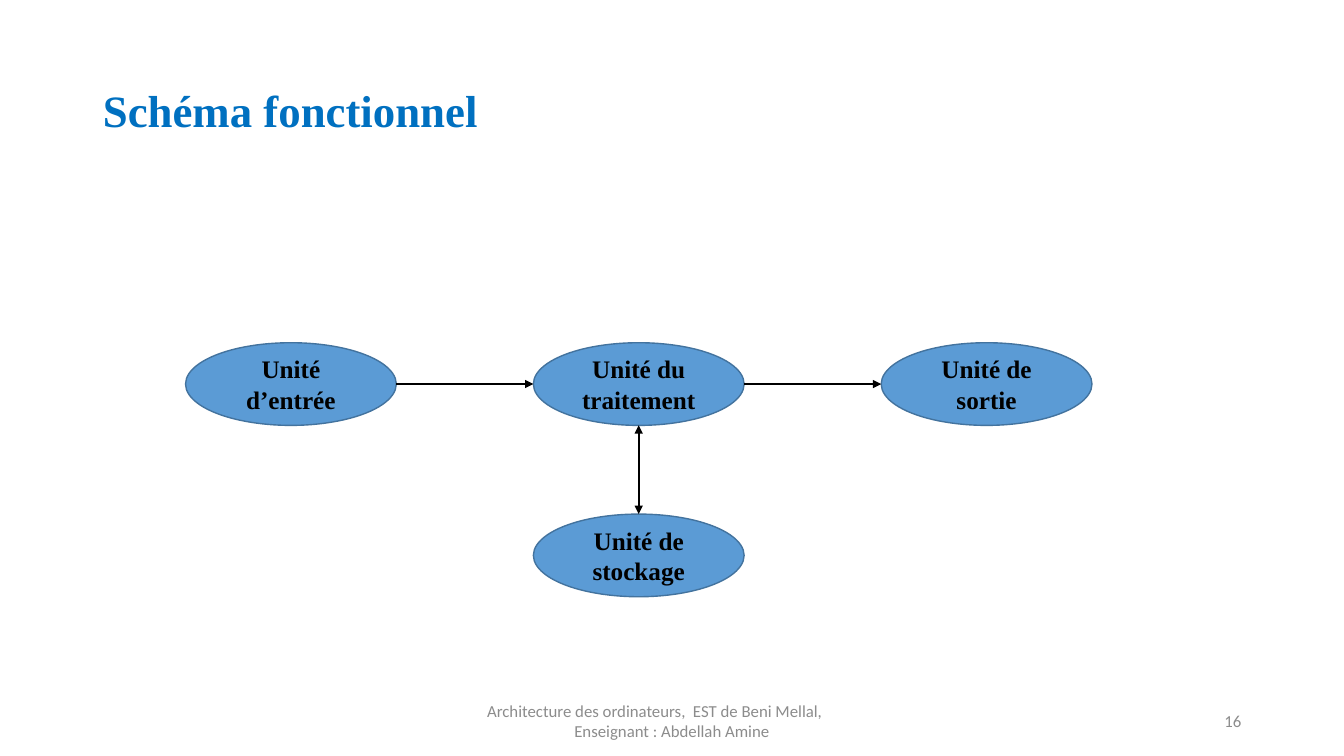
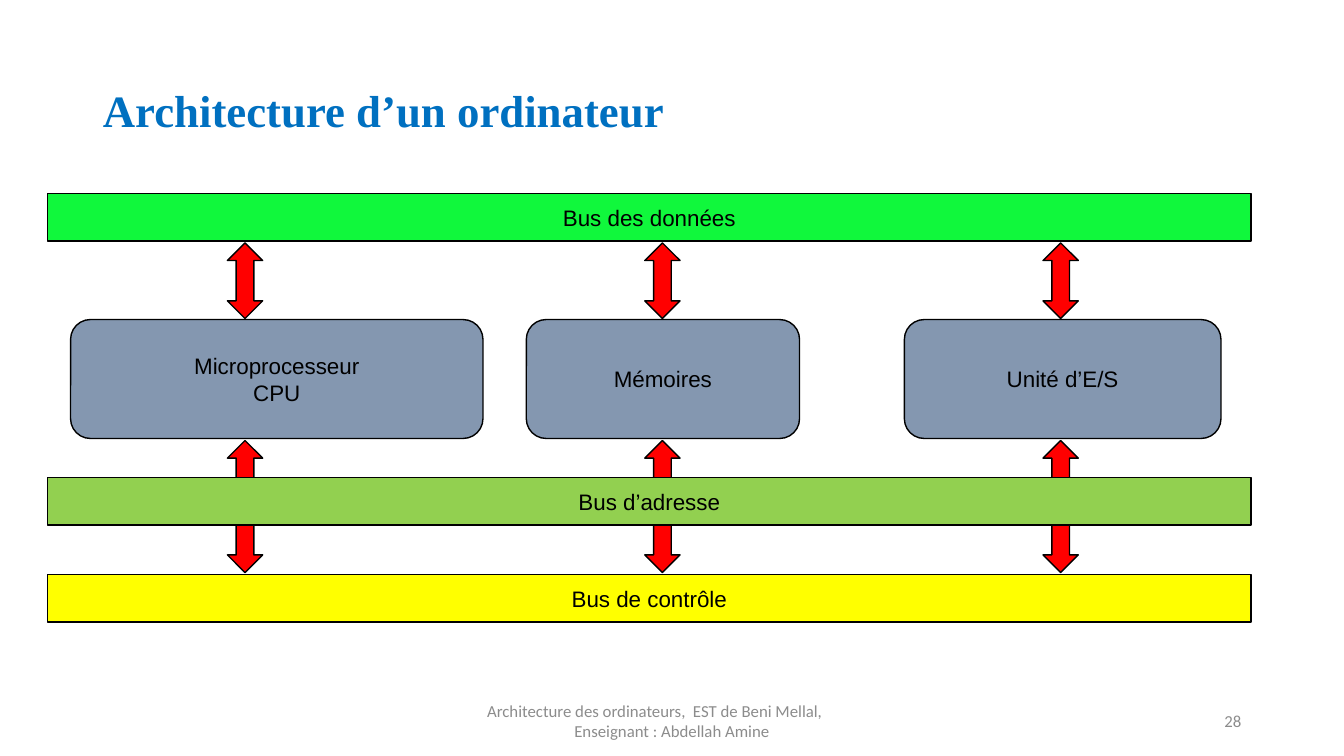
from lxml.etree import SubElement
from pptx import Presentation
from pptx.dml.color import RGBColor
from pptx.enum.shapes import MSO_CONNECTOR as Link, MSO_SHAPE as Preset
from pptx.enum.text import MSO_ANCHOR as Anchor, MSO_AUTO_SIZE as Fit, PP_ALIGN as Align
from pptx.oxml.ns import qn
from pptx.util import Inches, Pt

WIDTH, HEIGHT = 13.33, 7.5
COLORS = {
    "title": "0070C0", "footer": "8C8C8C", "ink": "000000",
    "unit": "5B9BD5", "unit_edge": "43739E", "block": "8497B0", "arrow": "FF0000",
    "data": "10F83C", "address": "92D050", "control": "FFFF00",
}
FONTS = {
    "title": {"name": "Times New Roman", "size": Pt(32), "bold": True},
    "footer": {"name": "Calibri", "size": Pt(12), "bold": False},
    "unit": {"name": "Times New Roman", "size": Pt(18), "bold": True},
    "block": {"name": "Arial", "size": Pt(16), "bold": False},
}


def write(frame, text, style, color, align):
    frame.text = text
    frame.word_wrap = True
    frame.vertical_anchor = Anchor.MIDDLE
    for paragraph in frame.paragraphs:
        paragraph.alignment = align
        for run in paragraph.runs:
            for key, value in FONTS[style].items():
                setattr(run.font, key, value)
            run.font.color.rgb = RGBColor.from_string(COLORS[color])


def add_block(slide, preset, box, fill, edge="ink", text="", style="block"):
    block = slide.shapes.add_shape(preset, *map(Inches, box))
    block.shadow.inherit = False
    block.fill.solid()
    block.fill.fore_color.rgb = RGBColor.from_string(COLORS[fill])
    block.line.color.rgb = RGBColor.from_string(COLORS[edge])
    block.line.width = Pt(1)
    if text:
        write(block.text_frame, text, style, "ink", Align.CENTER)
    return block


prs = Presentation()
prs.slide_width, prs.slide_height = Inches(WIDTH), Inches(HEIGHT)

# Title, footer and page number of both slides
margin = 0.92
footer_top, footer_height = 6.95, 0.4
footer_shift = 0.34
slides = []
for title_text, page in (("Schéma fonctionnel", "16"), ("Architecture d’un ordinateur", "28")):
    slide = prs.slides.add_slide(prs.slide_layouts[5])
    slides.append(slide)

    title = slide.shapes.title
    title.left, title.top, title.width, title.height = map(
        Inches, (margin, 0.4, WIDTH - 2 * margin, 1.45))
    write(title.text_frame, title_text, "title", "title", Align.LEFT)
    title.text_frame.auto_size = Fit.NONE
    title.text_frame.paragraphs[0].line_spacing = 0.9

    course = slide.shapes.add_textbox(*map(
        Inches, ((WIDTH - 4.5 - footer_shift) / 2, footer_top, 4.5, footer_height)))
    write(course.text_frame,
          "Architecture des ordinateurs,  EST de Beni Mellal,\nEnseignant : Abdellah Amine",
          "footer", "footer", Align.CENTER)
    # The teacher's line sits a little to the right of the course line
    teacher = course.text_frame.paragraphs[1]
    teacher._p.get_or_add_pPr().set("marL", str(Inches(footer_shift)))

    number = slide.shapes.add_textbox(*map(
        Inches, (WIDTH - margin - 3, footer_top, 3, footer_height)))
    write(number.text_frame, page, "footer", "footer", Align.RIGHT)

functional, architecture = slides

# Functional diagram: units on a grid of three columns and two rows
unit_width, unit_height = 2.09, 0.82
grid_left, column_step = 1.84, 3.45
grid_top, row_step = 3.4, 1.7
units = {}
for name, text, column, row in (
    ("input", "Unité d’entrée", 0, 0),
    ("processing", "Unité du\ntraitement", 1, 0),
    ("storage", "Unité de stockage", 1, 1),
    ("output", "Unité de sortie", 2, 0),
):
    box = (grid_left + column * column_step, grid_top + row * row_step, unit_width, unit_height)
    units[name] = add_block(functional, Preset.OVAL, box, "unit", "unit_edge", text, "unit")

# Flows between the units, from edge to edge
for source, target, ends in (
    ("input", "processing", ("tailEnd",)),
    ("processing", "output", ("tailEnd",)),
    ("processing", "storage", ("headEnd", "tailEnd")),
):
    start, end = units[source], units[target]
    if start.top == end.top:
        middle = start.top + start.height // 2
        points = (start.left + start.width, middle, end.left, middle)
    else:
        center = start.left + start.width // 2
        points = (center, start.top + start.height, center, end.top)
    flow = functional.shapes.add_connector(Link.STRAIGHT, *points)
    flow.line.color.rgb = RGBColor.from_string(COLORS["ink"])
    flow.line.width = Pt(1.5)
    for tag in ends:
        SubElement(flow.line._get_or_add_ln(), qn(f"a:{tag}"), type="triangle")
    SubElement(flow._element.spPr, qn("a:effectLst"))

# Computer architecture: arrows first, so that the address bus covers them
bus_left, bus_width, bus_height = 0.47, 11.94, 0.47
block_top, block_height = 3.17, 1.18
arrow_width = 0.35
for center in (2.43, 6.57, 10.52):
    for top, length in ((2.41, 0.75), (4.37, 1.31)):
        add_block(architecture, Preset.UP_DOWN_ARROW,
                  (center - arrow_width / 2, top, arrow_width, length), "arrow")

# Buses
for text, top, fill in (
    ("Bus des données", 1.92, "data"),
    ("Bus d’adresse", 4.74, "address"),
    ("Bus de contrôle", 5.7, "control"),
):
    add_block(architecture, Preset.RECTANGLE, (bus_left, top, bus_width, bus_height),
              fill, text=text)

# Components
for text, left, width in (
    ("Microprocesseur\nCPU", 0.7, 4.09),
    ("Mémoires", 5.22, 2.71),
    ("Unité d’E/S", 8.97, 3.14),
):
    add_block(architecture, Preset.ROUNDED_RECTANGLE, (left, block_top, width, block_height),
              "block", text=text)

prs.save("out.pptx")
